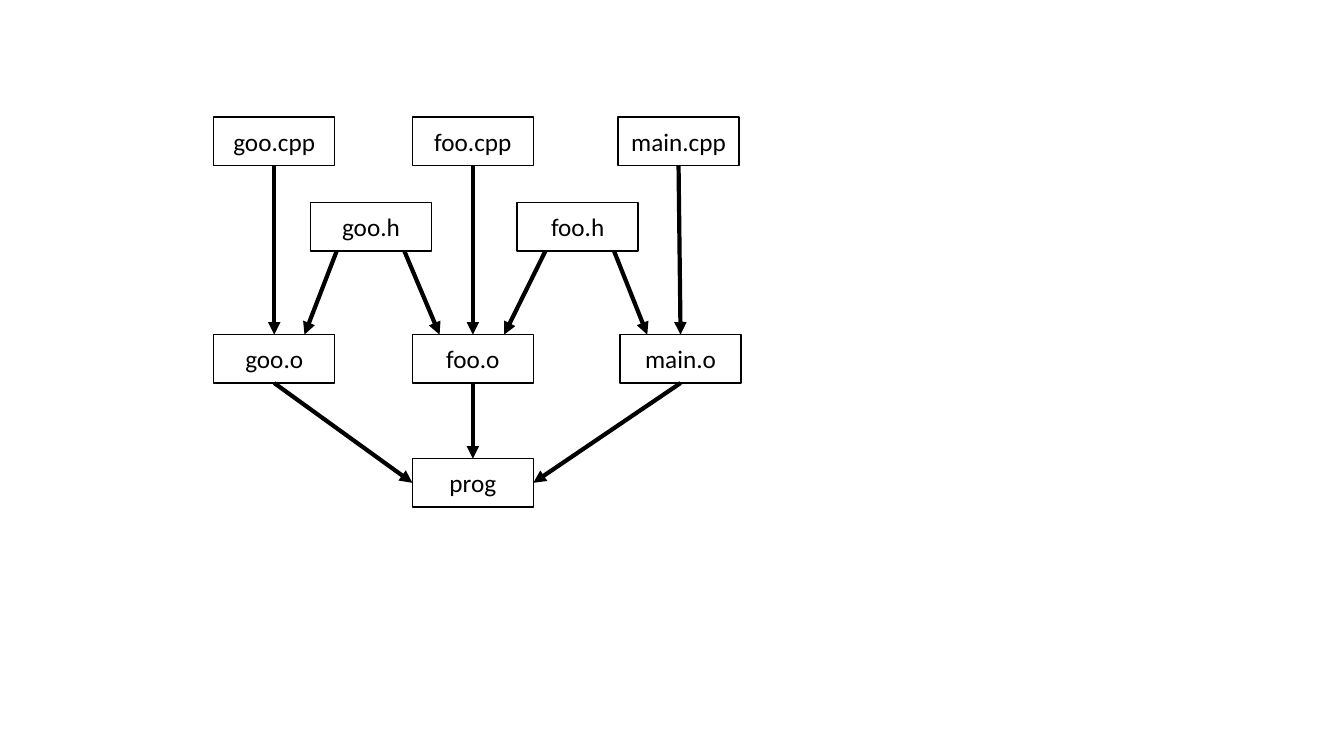
import pptx
import pptx.util
import pptx.dml.color
import pptx.enum.shapes
import pptx.enum.text
import pptx.oxml
import pptx.oxml.ns
from pptx.util import Inches

BLACK = pptx.dml.color.RGBColor(0, 0, 0)
WHITE = pptx.dml.color.RGBColor(255, 255, 255)
BOX_WIDTH, BOX_HEIGHT = 1.2, 0.48
TOP, LEFT, BOTTOM, RIGHT = range(4)  # connection sites of a rectangle

deck = pptx.Presentation()
deck.slide_width, deck.slide_height = Inches(13.33), Inches(7.5)
page = deck.slides.add_slide(deck.slide_layouts[6])


def write_text(box, text, size=18, font="Calibri", color=BLACK):
    frame = box.text_frame
    frame.word_wrap = True
    frame.vertical_anchor = pptx.enum.text.MSO_ANCHOR.MIDDLE
    para = frame.paragraphs[0]
    para.alignment = pptx.enum.text.PP_ALIGN.CENTER
    span = para.add_run()
    span.text = text
    span.font.size = pptx.util.Pt(size)
    span.font.name = font
    span.font.color.rgb = color


def add_arrow(start_x=0, start_y=0, end_x=0, end_y=0):
    arrow = page.shapes.add_connector(
        pptx.enum.shapes.MSO_CONNECTOR.STRAIGHT,
        Inches(start_x), Inches(start_y), Inches(end_x), Inches(end_y))
    arrow.line.color.rgb = BLACK
    arrow.line.width = pptx.util.Pt(3)
    tail = pptx.oxml.parse_xml(
        f'<a:tailEnd {pptx.oxml.ns.nsdecls("a")} type="triangle"/>')
    arrow.line._get_or_add_ln().append(tail)
    properties = arrow._element.spPr
    properties.append(properties.makeelement(pptx.oxml.ns.qn("a:effectLst"), {}))
    return arrow


# File boxes, one row per build stage
rows = [
    (1.16, [("goo.cpp", 2.12), ("foo.cpp", 4.09), ("main.cpp", 6.13)]),
    (2.01, [("goo.h", 3.08), ("foo.h", 5.13)]),
    (3.32, [("goo.o", 2.12), ("foo.o", 4.09), ("main.o", 6.15)]),
    (4.55, [("prog", 4.09)]),
]
boxes = {}
for top, files in rows:
    for name, left in files:
        box = page.shapes.add_shape(
            pptx.enum.shapes.MSO_SHAPE.RECTANGLE, Inches(left), Inches(top),
            Inches(BOX_WIDTH), Inches(BOX_HEIGHT))
        box.shadow.inherit = False
        box.fill.solid()
        box.fill.fore_color.rgb = WHITE
        box.line.color.rgb = BLACK
        box.line.width = pptx.util.Pt(1)
        write_text(box, name)
        boxes[name] = box

# Sources to objects, and objects to the program
links = [(f"{unit}.cpp", f"{unit}.o", TOP) for unit in ("goo", "foo", "main")]
links += [("goo.o", "prog", LEFT), ("foo.o", "prog", TOP), ("main.o", "prog", RIGHT)]
for source, target, site in links:
    arrow = add_arrow()
    arrow.begin_connect(boxes[source], BOTTOM)
    arrow.end_connect(boxes[target], site)

# Headers to the objects that include them
for start_x, end_x in [(3.34, 3.02), (4.01, 4.36), (5.41, 5.0), (6.09, 6.42)]:
    add_arrow(start_x, 2.49, end_x, 3.32)

deck.save("out.pptx")
